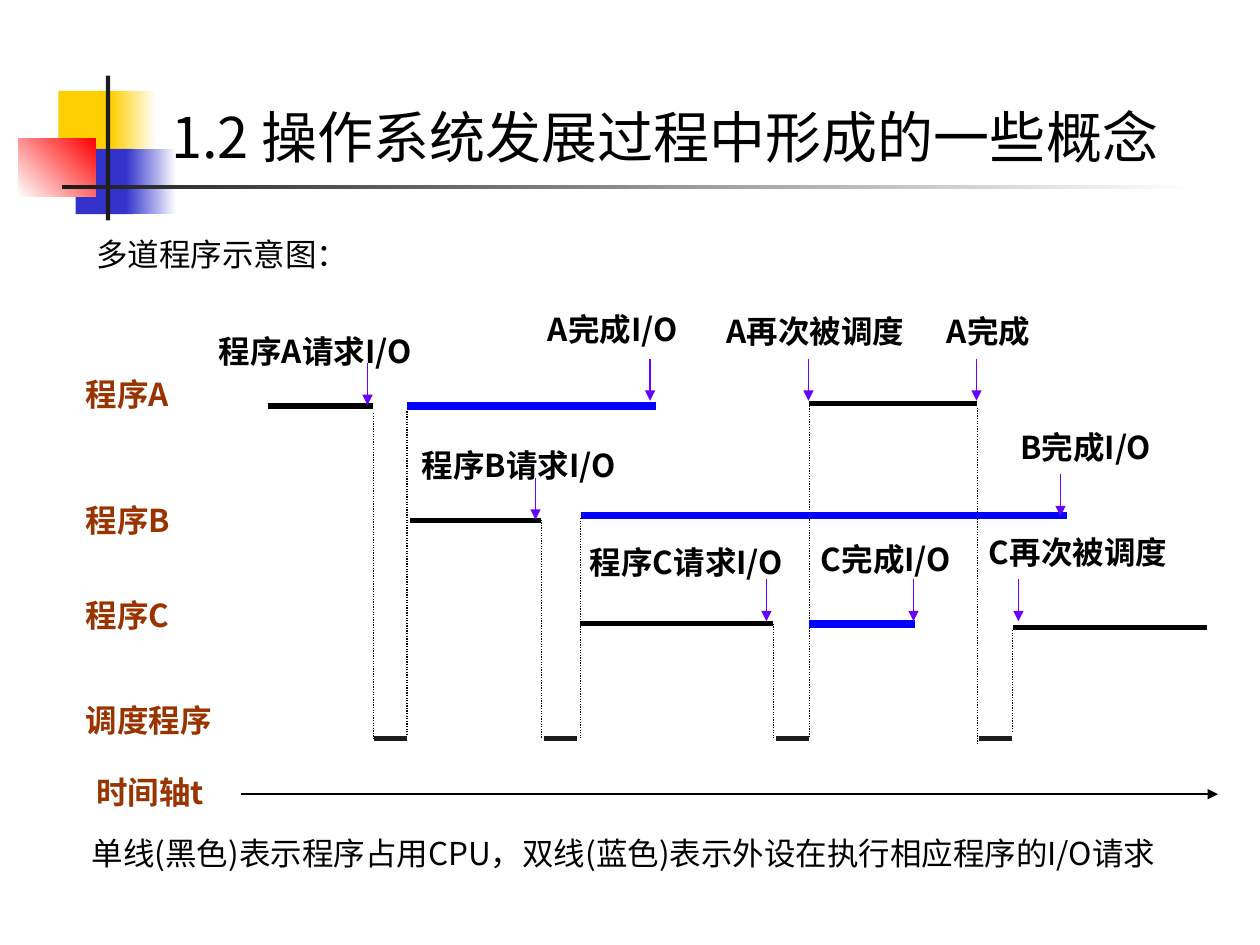
import pptx
import pptx.dml.color
import pptx.enum.dml
import pptx.enum.shapes
import pptx.enum.text
import pptx.oxml
import pptx.oxml.ns
import pptx.util
from lxml import etree

Pt = pptx.util.Pt
qn = pptx.oxml.ns.qn
rgb = pptx.dml.color.RGBColor.from_string

presentation = pptx.Presentation()
presentation.slide_width = Pt(720)
presentation.slide_height = Pt(540)
slide = presentation.slides.add_slide(presentation.slide_layouts[5])


def write(shape, text, size, color, bold=False, name="Noto Sans CJK SC"):
    frame = shape.text_frame
    frame.word_wrap = True
    frame.auto_size = pptx.enum.text.MSO_AUTO_SIZE.NONE
    paragraph = frame.paragraphs[0]
    paragraph.text = text
    paragraph.alignment = pptx.enum.text.PP_ALIGN.LEFT
    font = paragraph.font
    font.size, font.bold, font.name = Pt(size), bold, name
    font.color.rgb = rgb(color)
    # Chinese characters take their typeface from a:ea
    latin = paragraph._p.find(".//" + qn("a:latin"))
    east_asian = etree.Element(qn("a:ea"), typeface=name)
    latin.addnext(east_asian)


def draw_line(x1, y1, x2, y2, color, width, dotted=False, arrow=False):
    connector = slide.shapes.add_connector(
        pptx.enum.shapes.MSO_CONNECTOR.STRAIGHT, Pt(x1), Pt(y1), Pt(x2), Pt(y2))
    connector.line.color.rgb = rgb(color)
    connector.line.width = Pt(width)
    if dotted:
        connector.line.dash_style = pptx.enum.dml.MSO_LINE.ROUND_DOT
    if arrow:
        etree.SubElement(connector.line._get_or_add_ln(), qn("a:tailEnd"), type="triangle")
    etree.SubElement(connector._element.spPr, qn("a:effectLst"))


# Corner decoration: left, top, width, height, colours, gradient angle
decoration = [
    (33.4, 52, 34.6, 37.4, ["FFCF01"], 0),
    (63.4, 52, 25.9, 37.4, ["FFCF01", "FFFFFF"], 0),
    (43.2, 85, 33.1, 37.4, ["3333CC"], 0),
    (72, 85, 28.8, 37.4, ["3333CC", "FFFFFF"], 0),
    (10.4, 79, 44.3, 33.3, ["FFFFFF", "FF0000"], 45),
    (60.5, 43.2, 2.5, 82.8, ["1C1C1C"], 0),
    (35.3, 105.8, 648, 2.3, ["1C1C1C", "FFFFFF"], 0),
]
for left, top, width, height, colors, angle in decoration:
    shape = slide.shapes.add_shape(
        pptx.enum.shapes.MSO_SHAPE.RECTANGLE, Pt(left), Pt(top), Pt(width), Pt(height))
    shape.shadow.inherit = False
    shape.line.fill.background()
    if len(colors) == 1:
        shape.fill.solid()
        shape.fill.fore_color.rgb = rgb(colors[0])
    else:
        shape.fill.gradient()
        shape.fill.gradient_angle = angle
        for stop, color in zip(shape.fill.gradient_stops, colors):
            stop.color.rgb = rgb(color)

# Title, in front of the decoration
title = slide.shapes.title
title.left, title.top, title.width, title.height = Pt(90.7), Pt(54.7), Pt(629.3), Pt(46)
write(title, "1.2 操作系统发展过程中形成的一些概念", 32, "000000", name="Noto Sans CJK JP")
title.text_frame.vertical_anchor = pptx.enum.text.MSO_ANCHOR.MIDDLE
title.element.getparent().append(title.element)

# Labels: text, left, top, width, height, colour, bold
row_names = [("程序A", 42, 211), ("程序B", 42, 283), ("程序C", 42, 337),
             ("调度程序", 42, 397), ("时间轴t", 48, 438)]
events = [("程序A请求I/O", 118, 186), ("A完成I/O", 306, 173.5), ("A再次被调度", 408, 175),
          ("A完成", 534, 175), ("程序B请求I/O", 234, 251.5), ("B完成I/O", 576, 241),
          ("程序C请求I/O", 330, 306.5), ("C完成I/O", 462, 305), ("C再次被调度", 558, 301)]
labels = [(text, left, top, 108, 28.8, "993300", True) for text, left, top in row_names]
labels += [(text, left, top, 144, 28.8, "000000", True) for text, left, top in events]
labels += [
    ("多道程序示意图：", 48, 130.5, 351, 28.8, "000000", False),
    ("单线(黑色)表示程序占用CPU，双线(蓝色)表示外设在执行相应程序的I/O请求",
     45.4, 473, 632, 50.4, "000000", False),
]
for text, left, top, width, height, color, bold in labels:
    box = slide.shapes.add_textbox(Pt(left), Pt(top), Pt(width), Pt(height))
    write(box, text, 18, color, bold)

# Dotted switches between the programs and the scheduler
for x, top, bottom in [(213.6, 236, 422), (232.6, 235, 420.5), (309.6, 297, 422),
                       (331.8, 296, 422), (442, 356.5, 422), (462.6, 229, 422),
                       (558.6, 233, 425.5), (578.4, 360, 418)]:
    draw_line(x, top, x, bottom, "000000", 0.75, dotted=True)

# Processor time of the programs: start, end, height
for start, end, y in [(153, 213.3, 232), (462.2, 558.5, 230.5), (234, 309.4, 297.4),
                      (331.4, 442, 356.5), (579, 689.8, 358.5)]:
    draw_line(start, y, end, y, "000000", 3)

# Processor time of the scheduler
for start in (213.6, 311, 443.5, 559.5):
    draw_line(start, 422, start + 19, 422, "1C1C1C", 3)

# Device time
for start, end, y in [(232.6, 375, 231.8), (331.8, 610, 294.6), (462.2, 522.8, 356.5)]:
    draw_line(start, y, end, y, "0000FF", 4.5)

# Event arrows, all of one length
for x, top in [(210, 207.5), (371.5, 205), (462, 205), (558, 205), (306, 273),
               (606, 271), (438, 331), (522, 331), (582, 331)]:
    draw_line(x, top, x, top + 24, "6600FF", 1, arrow=True)

# Time axis
draw_line(138, 453.8, 696, 453.8, "000000", 1.5, arrow=True)

presentation.save("out.pptx")
